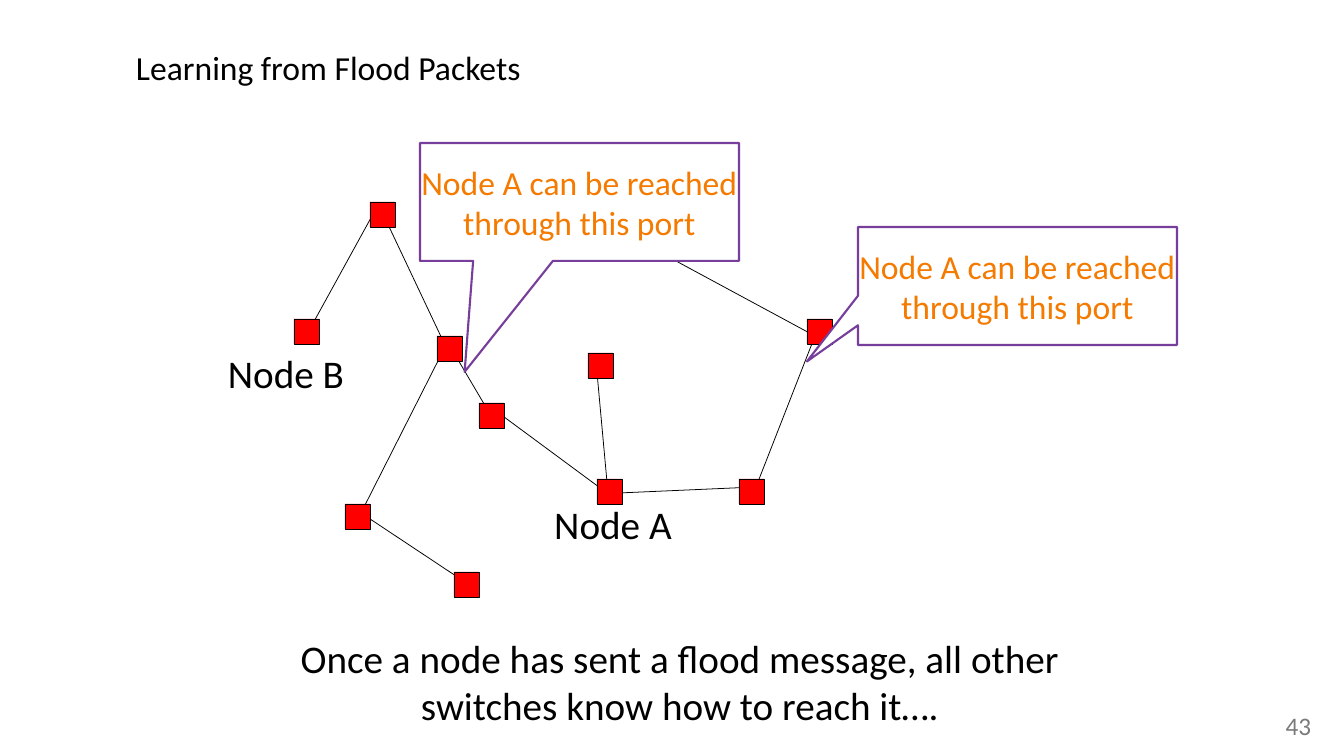
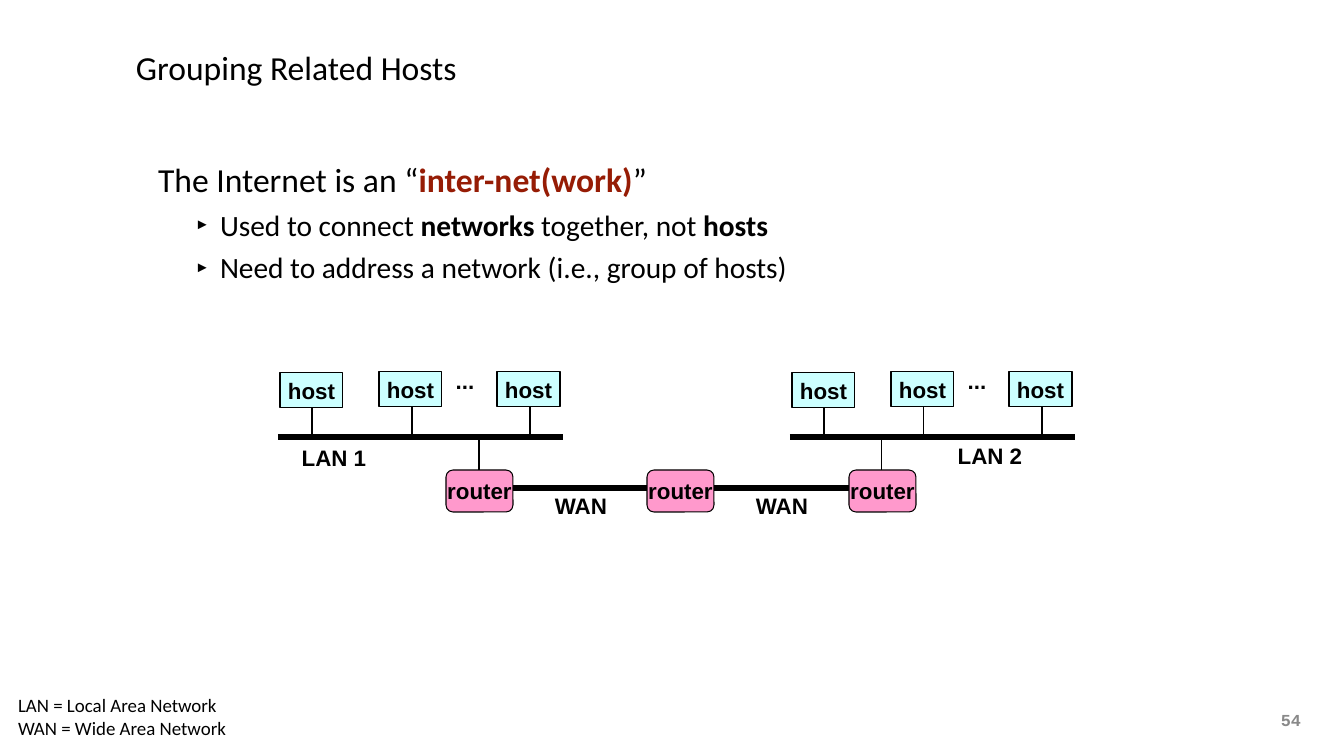
from lxml.etree import SubElement
from pptx import Presentation
from pptx.dml.color import RGBColor
from pptx.enum.shapes import MSO_CONNECTOR, MSO_SHAPE
from pptx.enum.text import MSO_ANCHOR as Anchor, MSO_AUTO_SIZE, PP_ALIGN as Align
from pptx.oxml.ns import qn
from pptx.util import Pt

PX = 12095
SLIDE_SIZE = (1344, 756)
TITLE_BOX = (132, 0, 1082, 135)
NUMBER_BOX = (1281, 710, 35, 38)
DEFAULT_INSETS = (8, 4, 8, 4)

BLACK = RGBColor(0x00, 0x00, 0x00)
WHITE = RGBColor(0xFF, 0xFF, 0xFF)
RED = RGBColor(0xFF, 0x00, 0x00)
ORANGE = RGBColor(0xF4, 0x7A, 0x00)
PURPLE = RGBColor(0x77, 0x3F, 0x9B)
BRICK = RGBColor(0x96, 0x1C, 0x05)
CYAN = RGBColor(0xCC, 0xFF, 0xFF)
PINK = RGBColor(0xFF, 0x99, 0xCC)
GRAY = RGBColor(0x7A, 0x7A, 0x7A)
LIGHT_GRAY = RGBColor(0x89, 0x89, 0x89)

LABEL = dict(font="Calibri", size=37.3)
NETWORK = dict(font="Arial", size=21.3, bold=True)

FLOOD_TITLE = "Learning from Flood Packets"
NODE_SIZE = 25
NODES = [
    (437, 336), (479, 403), (345, 504), (370, 202), (294, 319),
    (454, 572), (597, 479), (739, 479), (588, 353), (807, 319),
]
LINKS = [
    (384, 216, 445, 345), (372, 216, 311, 327), (454, 353, 490, 414),
    (613, 227, 815, 336), (815, 336, 756, 487), (361, 513, 462, 580),
    (496, 411, 607, 493), (756, 487, 619, 493), (596, 361, 607, 482),
    (361, 513, 439, 359),
]
CALLOUT_LINES = ["Node A can be reached", "through this port"]
CALLOUTS = [((858, 227, 319, 118), (-0.66, 0.64)), ((420, 143, 319, 118), (-0.36, 1.44))]
FLOOD_LABELS = [
    ("Node A", (470, 496, 286, 55)),
    ("Node B", (143, 345, 286, 55)),
    ("Once a node has sent a flood message, all other switches know how to reach it….",
     (243, 630, 874, 103)),
]

GROUPING_TITLE = "Grouping Related Hosts"
BODY_BOX = (132, 139, 1082, 166)
BODY = [
    (0, [("The Internet is an “", False, BLACK), ("inter-net(work)", True, BRICK),
         ("”", False, BLACK)]),
    (1, [("Used to connect ", False, BLACK), ("networks ", True, BLACK),
         ("together, not ", False, BLACK), ("hosts", True, BLACK)]),
    (1, [("Need to address a network (i.e., group of hosts)", False, BLACK)]),
]
LEVELS = [dict(size=32, margin=26, indent=0), dict(size=28, margin=88, indent=-25)]
LANS = [(278, "LAN 1", (294, 440, 80, 35)), (790, "LAN 2", (950, 438, 80, 35))]
BUS_Y, BUS_WIDTH = 437, 285
HOSTS = [(2, 373, 34), (101, 372, 134), (219, 372, 252)]
HOST_SIZE = (63, 35)
ROUTER_LEFTS = [446, 647, 849]
ROUTER_TOP, ROUTER_WIDTH, ROUTER_HEIGHT = 470, 67, 42
WAN_Y = 488
LEGEND = ["LAN = Local Area Network", "WAN = Wide Area Network"]


def emu(*lengths):
    return [length * PX for length in lengths]


def add_run(paragraph, text, font, size, bold=False, color=BLACK):
    run = paragraph.add_run()
    run.text = text
    run.font.name = font
    run.font.size = Pt(size)
    run.font.bold = bold
    run.font.color.rgb = color


def set_frame(frame, insets, anchor, wrap):
    frame.auto_size = MSO_AUTO_SIZE.NONE
    frame.word_wrap = wrap
    frame.vertical_anchor = anchor
    (frame.margin_left, frame.margin_top,
     frame.margin_right, frame.margin_bottom) = emu(*insets)


def write(shape, lines, align=Align.CENTER, anchor=Anchor.MIDDLE, wrap=False,
          insets=DEFAULT_INSETS, **style):
    frame = shape.text_frame
    set_frame(frame, insets, anchor, wrap)
    for index, line in enumerate(lines):
        paragraph = frame.add_paragraph() if index else frame.paragraphs[0]
        paragraph.alignment = align
        add_run(paragraph, line, **style)


def add_text(slide, box, lines, **options):
    write(slide.shapes.add_textbox(*emu(*box)), lines, **options)


def add_box(slide, kind, box, fill, line=BLACK, width=1):
    shape = slide.shapes.add_shape(kind, *emu(*box))
    shape.shadow.inherit = False
    shape.fill.solid()
    shape.fill.fore_color.rgb = fill
    shape.line.color.rgb = line
    shape.line.width = Pt(width)
    return shape


def add_line(slide, ends, width=1):
    connector = slide.shapes.add_connector(MSO_CONNECTOR.STRAIGHT, *emu(*ends))
    connector.line.color.rgb = BLACK
    connector.line.width = Pt(width)
    SubElement(connector._element.spPr, qn("a:effectLst"))


def place(shape, box):
    shape.left, shape.top, shape.width, shape.height = emu(*box)


def start_slide(presentation, layout, title, number, **number_style):
    slide = presentation.slides.add_slide(presentation.slide_layouts[layout])
    place(slide.shapes.title, TITLE_BOX)
    write(slide.shapes.title, [title], align=Align.LEFT, wrap=True,
          insets=(4, 4, 4, 4), font="Calibri", size=32)
    add_text(slide, NUMBER_BOX, [number], anchor=Anchor.TOP, insets=(0, 0, 0, 0),
             **number_style)
    return slide


def fill_body(placeholder):
    place(placeholder, BODY_BOX)
    frame = placeholder.text_frame
    set_frame(frame, (0, 0, 0, 0), Anchor.MIDDLE, True)
    for index, (level, runs) in enumerate(BODY):
        paragraph = frame.add_paragraph() if index else frame.paragraphs[0]
        look = LEVELS[level]
        paragraph.level = level
        properties = paragraph._p.get_or_add_pPr()
        properties.set("marL", str(look["margin"] * PX))
        properties.set("indent", str(look["indent"] * PX))
        if level:
            SubElement(properties, qn("a:buSzPct"), val="50000")
            SubElement(properties, qn("a:buFont"), typeface="Arial")
            SubElement(properties, qn("a:buChar"), char="►")
        else:
            SubElement(properties, qn("a:buNone"))
        paragraph.alignment = Align.LEFT
        paragraph.line_spacing = 1.0
        paragraph.space_before = Pt(7 if index else 0)
        for text, bold, color in runs:
            add_run(paragraph, text, "Calibri", look["size"], bold, color)


def build_flood_slide(presentation):
    slide = start_slide(presentation, 5, FLOOD_TITLE, "43",
                        font="Calibri", size=24, color=GRAY)
    for link in LINKS:
        add_line(slide, link, 0.75)
    for left, top in NODES:
        add_box(slide, MSO_SHAPE.RECTANGLE, (left, top, NODE_SIZE, NODE_SIZE), RED, width=0.75)
    for box, tip in CALLOUTS:
        callout = add_box(slide, MSO_SHAPE.RECTANGULAR_CALLOUT, box, WHITE, PURPLE, 2)
        callout.adjustments[0], callout.adjustments[1] = tip
        write(callout, CALLOUT_LINES, insets=(10, 5, 10, 5),
              font="Calibri", size=32, color=ORANGE)
    for text, box in FLOOD_LABELS:
        add_text(slide, box, [text], anchor=Anchor.TOP, wrap=True, **LABEL)


def add_lan(slide, left, name, name_box):
    add_line(slide, (left, BUS_Y, left + BUS_WIDTH, BUS_Y), 6)
    for host_offset, top, drop_offset in HOSTS:
        drop = left + drop_offset
        add_line(slide, (drop, 404, drop, BUS_Y))
        host = add_box(slide, MSO_SHAPE.RECTANGLE, (left + host_offset, top, *HOST_SIZE), CYAN)
        write(host, ["host"], **NETWORK)
    add_text(slide, name_box, [name], **NETWORK)
    add_text(slide, (left + 170, 363, 34, 35), ["..."], **NETWORK)


def build_grouping_slide(presentation):
    slide = start_slide(presentation, 1, GROUPING_TITLE, "54", align=Align.LEFT,
                        font="Courier New", size=16, bold=True, color=LIGHT_GRAY)
    fill_body(slide.placeholders[1])
    for lan in LANS:
        add_lan(slide, *lan)
    for left in ROUTER_LEFTS:
        router = add_box(slide, MSO_SHAPE.ROUNDED_RECTANGLE,
                         (left, ROUTER_TOP, ROUTER_WIDTH, ROUTER_HEIGHT), PINK)
        write(router, ["router"], **NETWORK)
    for left in (ROUTER_LEFTS[0], ROUTER_LEFTS[-1]):
        center = left + ROUTER_WIDTH // 2
        add_line(slide, (center, BUS_Y, center, ROUTER_TOP))
    for left, following in zip(ROUTER_LEFTS, ROUTER_LEFTS[1:]):
        right = left + ROUTER_WIDTH
        add_line(slide, (right, WAN_Y, following, WAN_Y), 6)
        add_text(slide, (right + 33, WAN_Y, 70, 35), ["WAN"], **NETWORK)
    add_text(slide, (10, 690, 227, 54), LEGEND, align=Align.LEFT, anchor=Anchor.TOP,
             font="Calibri", size=18)


def main():
    presentation = Presentation()
    presentation.slide_width, presentation.slide_height = emu(*SLIDE_SIZE)
    build_flood_slide(presentation)
    build_grouping_slide(presentation)
    presentation.save("out.pptx")


if __name__ == "__main__":
    main()
